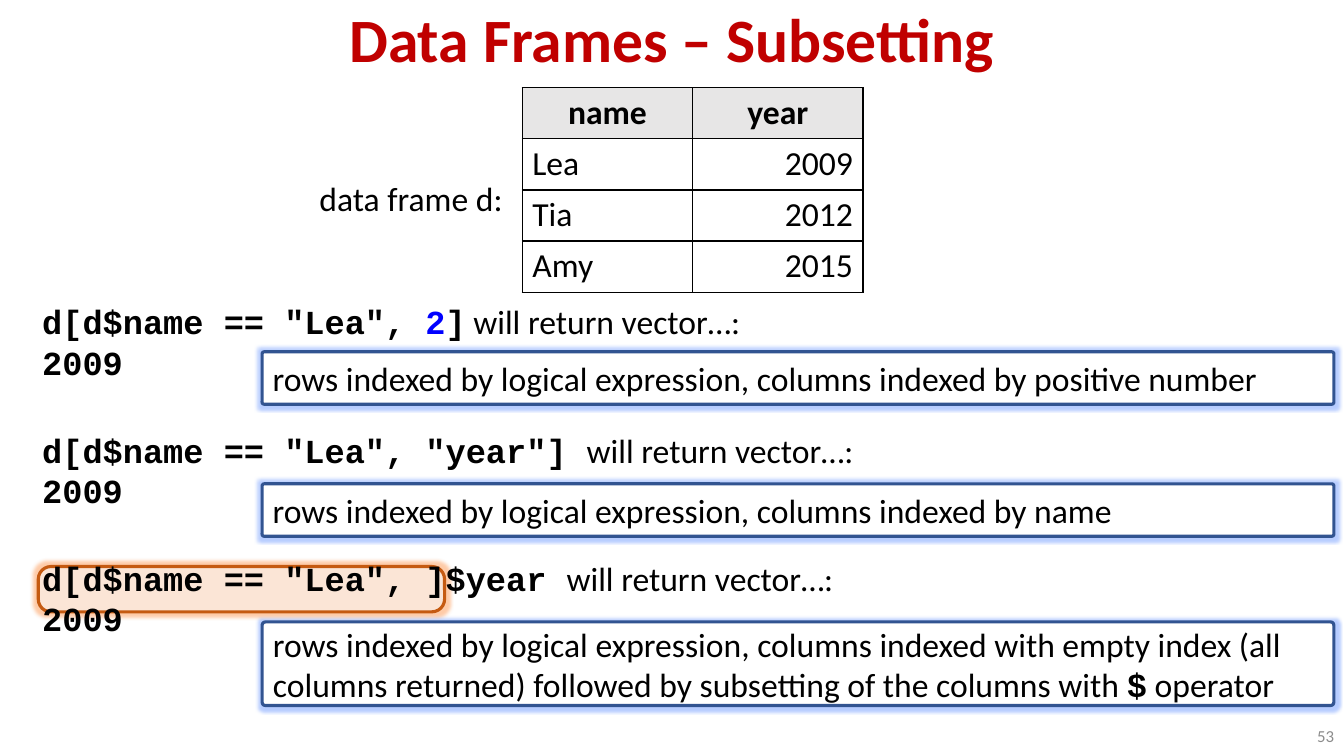
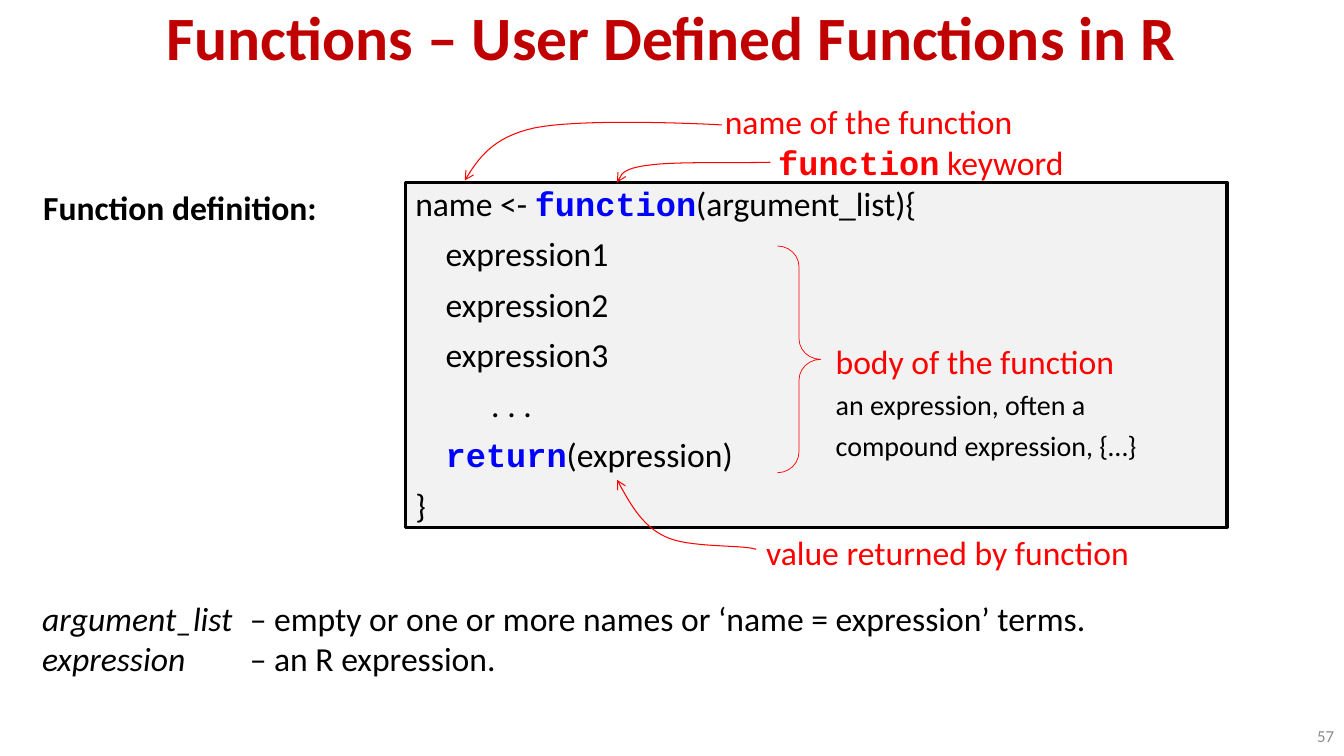
import pptx
import pptx.dml.color
import pptx.enum.shapes
import pptx.enum.text
import pptx.oxml
import pptx.oxml.ns
import pptx.util
from lxml import etree

PX = 9144
BLACK, RED, BLUE, TITLE_RED, GREY = "000000", "FF0000", "0000FF", "C00000", "8C8C8C"
CODE = {"name": "Courier New", "bold": True}
KEYWORD = {**CODE, "color": BLUE}
ITALIC = {"italic": True}
RETURNS = "will return vector…:"

color = pptx.dml.color.RGBColor.from_string
qn = pptx.oxml.ns.qn
Align = pptx.enum.text.PP_ALIGN
Anchor = pptx.enum.text.MSO_ANCHOR
Shape = pptx.enum.shapes.MSO_SHAPE


def write(frame, lines, size=24, ink=BLACK, bold=False, align=Align.LEFT,
          anchor=Anchor.TOP, spacing=None, gaps=None, tab=None):
    frame.word_wrap = True
    frame.auto_size = pptx.enum.text.MSO_AUTO_SIZE.NONE
    frame.vertical_anchor = anchor
    for index, line in enumerate(lines):
        paragraph = frame.paragraphs[0] if index == 0 else frame.add_paragraph()
        paragraph.alignment = align
        if spacing:
            paragraph.line_spacing = spacing
        if gaps and index:
            paragraph.space_before = pptx.util.Pt(gaps[index])
        if tab:
            tabs = etree.SubElement(paragraph._p.get_or_add_pPr(), qn("a:tabLst"))
            etree.SubElement(tabs, qn("a:tab"), pos=str(tab * PX), algn="l")
        font = paragraph.font
        font.name, font.size, font.bold = "Calibri", pptx.util.Pt(size), bold
        font.color.rgb = color(ink)
        for text, style in [(line, {})] if isinstance(line, str) else line:
            run = paragraph.add_run()
            run.text = text
            for key, value in style.items():
                if key == "color":
                    run.font.color.rgb = color(value)
                else:
                    setattr(run.font, key, value)


def panel(slide, kind, box, fill, line, width=2.25, corner=None, glow=None):
    shape = slide.shapes.add_shape(kind, *(v * PX for v in box))
    shape.shadow.inherit = False
    if corner is not None:
        shape.adjustments[0] = corner
    if fill:
        shape.fill.solid()
        shape.fill.fore_color.rgb = color(fill)
    else:
        shape.fill.background()
    shape.line.color.rgb = color(line)
    shape.line.width = pptx.util.Pt(width)
    if glow:
        effects = shape._element.spPr.find(qn("a:effectLst"))
        halo = etree.SubElement(effects, qn("a:glow"), rad="63500")
        tint = etree.SubElement(halo, qn("a:srgbClr"), val=glow)
        etree.SubElement(tint, qn("a:alpha"), val="40000")
    return shape


deck = pptx.Presentation()
deck.slide_width, deck.slide_height = 1333 * PX, 750 * PX

slides = []
for heading, number, anchor in [
    ("Data Frames – Subsetting", "53", Anchor.BOTTOM),
    ("Functions – User Defined Functions in R", "57", Anchor.MIDDLE),
]:
    slide = deck.slides.add_slide(deck.slide_layouts[5])
    title = slide.shapes.title
    title.left, title.top, title.width, title.height = 0, 0, 1333 * PX, 80 * PX
    write(title.text_frame, [heading], 44, TITLE_RED, True, Align.CENTER, anchor, 0.9)
    page = slide.shapes.add_textbox(1221 * PX, 710 * PX, 112 * PX, 40 * PX)
    write(page.text_frame, [number], 12, GREY, align=Align.RIGHT, anchor=Anchor.MIDDLE)
    slides.append(slide)
subsetting, functions = slides

panel(subsetting, Shape.ROUNDED_RECTANGLE, (38, 562, 403, 45),
      "FBE5D6", "C55A11", corner=0.28, glow="FF7D25")

caption = subsetting.shapes.add_textbox(307 * PX, 172 * PX, 210 * PX, 50 * PX)
write(caption.text_frame, ["data frame d:"])

queries = subsetting.shapes.add_textbox(32 * PX, 294 * PX, 1259 * PX, 361 * PX)
result = [("2009", CODE)]
write(queries.text_frame, [
    [('d[d$name == "Lea", ', CODE), ("2", KEYWORD), ("]", CODE), (" " + RETURNS, {})],
    result,
    [('d[d$name == "Lea", "year"] ', CODE), (RETURNS, {})],
    result,
    [('d[d$name == "Lea", ]$year ', CODE), (RETURNS, {})],
    result,
], gaps=[0, 0, 34, 0, 34, 0])

records = [("name", "year"), ("Lea", "2009"), ("Tia", "2012"), ("Amy", "2015")]
table = subsetting.shapes.add_table(4, 2, 518 * PX, 87 * PX, 338 * PX, 200 * PX).table
table.first_row = table.horz_banding = False
for column in table.columns:
    column.width = 169 * PX
for r, record in enumerate(records):
    table.rows[r].height = 50 * PX
    for c, value in enumerate(record):
        cell = table.cell(r, c)
        align = Align.CENTER if r == 0 else (Align.LEFT, Align.RIGHT)[c]
        write(cell.text_frame, [value], bold=r == 0, align=align)
        properties = cell._tc.get_or_add_tcPr()
        for side in ("lnL", "lnR", "lnT", "lnB"):
            border = etree.SubElement(properties, qn("a:" + side), w="12700")
            ink = etree.SubElement(border, qn("a:solidFill"))
            etree.SubElement(ink, qn("a:srgbClr"), val=BLACK)
        if r == 0:
            cell.fill.solid()
            cell.fill.fore_color.rgb = color("E7E6E6")
        else:
            cell.fill.background()

indexed = "rows indexed by logical expression, columns indexed "
for top, height, note in [
    (349, 52, indexed + "by positive number"),
    (480, 52, indexed + "by name"),
    (617, 83, [(indexed + "with empty index (all columns returned) followed by "
                "subsetting of the columns with ", {}), ("$", CODE), (" operator", {})]),
]:
    explanation = panel(subsetting, Shape.ROUNDED_RECTANGLE, (260, top, 1063, height),
                        "FFFFFF", "325491", corner=0.04, glow="4A80FF")
    write(explanation.text_frame, [note], anchor=Anchor.MIDDLE)

definition = panel(functions, Shape.RECTANGLE, (402, 181, 815, 342), "F2F2F2", BLACK)
write(definition.text_frame, [
    [("name <- ", {}), ("function", KEYWORD), ("(argument_list){", {})],
    "    expression1",
    "    expression2",
    "    expression3",
    "          . . .",
    [("    ", {}), ("return", KEYWORD), ("(expression)", {})],
    "}",
], spacing=0.9, gaps=[0] + [10] * 6)

panel(functions, Shape.RIGHT_BRACE, (771, 244, 43, 225), None, RED, 0.5, 0.48)

small = {"size": pptx.util.Pt(20), "color": BLACK}
body = functions.shapes.add_textbox(819 * PX, 333 * PX, 380 * PX, 133 * PX)
write(body.text_frame, [
    "body of the function",
    [("an expression, often a", small)],
    [("compound expression, {…}", small)],
], ink=RED, gaps=[0, 5, 5])

for left, top, width, label in [
    (750, 523, 395, "value returned by function"),
    (709, 95, 339, "name of the function"),
    (762, 136, 336, [("function", CODE), (" keyword", {})]),
]:
    callout = functions.shapes.add_textbox(left * PX, top * PX, width * PX, 50 * PX)
    write(callout.text_frame, [label], ink=RED)

for knots in [
    [(461, 179), (474, 158), (488, 136), (530, 127), (573, 118), (682, 122), (716, 124)],
    [(612, 181), (615, 174), (617, 167), (643, 164), (668, 160), (739, 162), (764, 161)],
    [(612, 476), (624, 498), (636, 521), (659, 532), (682, 544), (736, 540), (750, 545)],
]:
    points = []
    for first in (0, 3):
        for step in range(1, 17):
            t = step / 16
            weights = ((1 - t) ** 3, 3 * t * (1 - t) ** 2, 3 * t * t * (1 - t), t ** 3)
            points.append(tuple(
                round(PX * sum(w * knots[first + i][axis] for i, w in enumerate(weights)))
                for axis in (0, 1)))
    builder = functions.shapes.build_freeform(knots[0][0] * PX, knots[0][1] * PX)
    builder.add_line_segments(points, close=False)
    arrow = builder.convert_to_shape()
    arrow.shadow.inherit = False
    arrow.fill.background()
    arrow.line.color.rgb = color(RED)
    arrow.line.width = pptx.util.Pt(0.75)
    etree.SubElement(arrow.line._get_or_add_ln(), qn("a:headEnd"), type="arrow")

lead = functions.shapes.add_textbox(33 * PX, 181 * PX, 295 * PX, 50 * PX)
write(lead.text_frame, ["Function definition:"], bold=True)

glossary = functions.shapes.add_textbox(32 * PX, 588 * PX, 1100 * PX, 91 * PX)
write(glossary.text_frame, [
    [("argument_list", ITALIC),
     ("\t– empty or one or more names or ‘name = expression’ terms.", {})],
    [("expression", ITALIC), ("\t– an R expression.", {})],
], tab=206)

deck.save("out.pptx")
